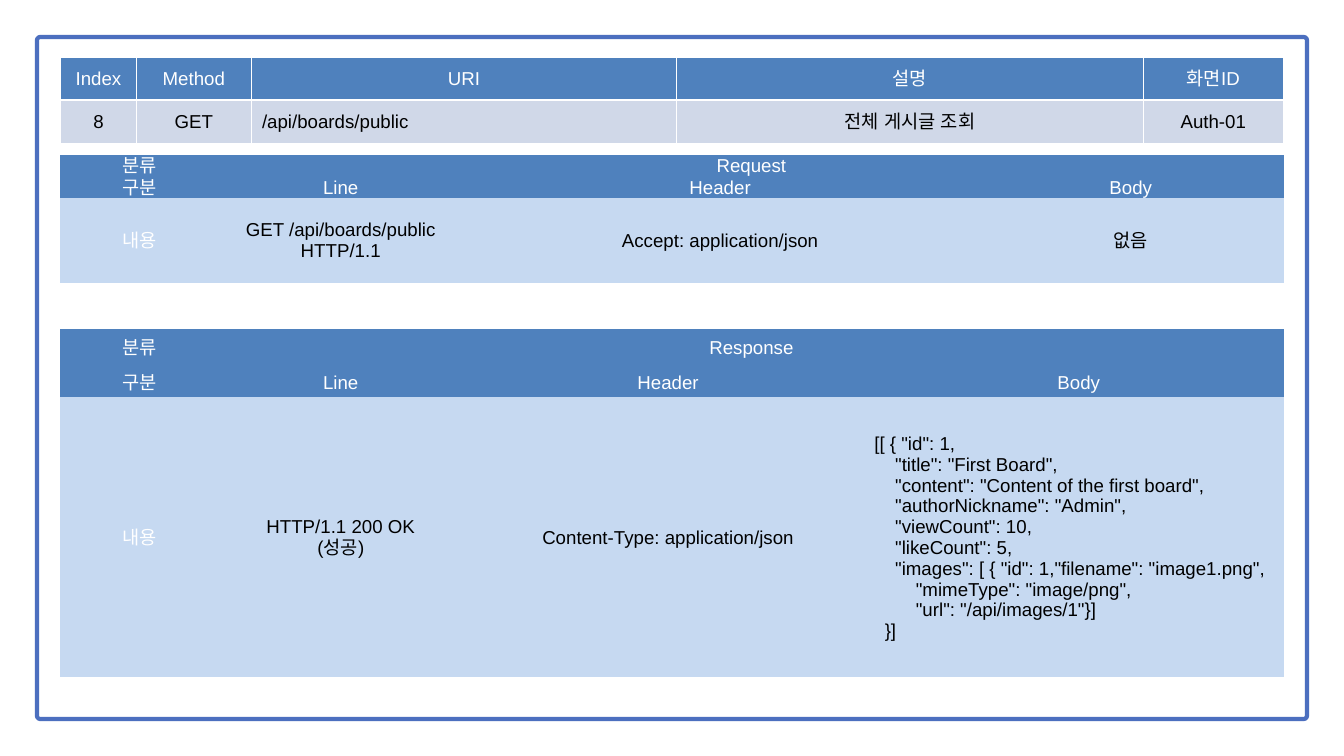
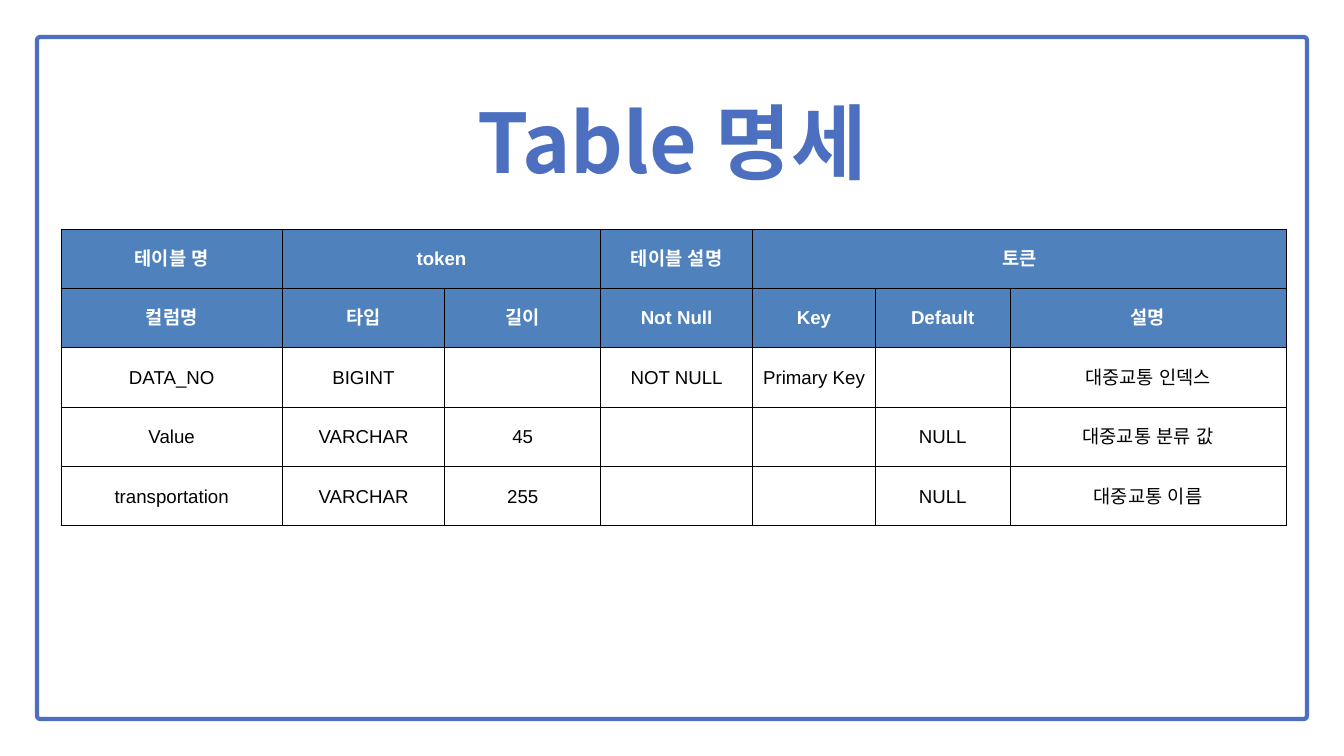
from lxml import etree
from pptx import Presentation
from pptx.dml.color import RGBColor
from pptx.enum import shapes, text
from pptx.oxml import ns
from pptx.util import Pt

BLUE, HEAD, PALE, GREY = "4C6FBF", "4F81BD", "C6D9F1", "D0D8E8"
WHITE, BLACK = "FFFFFF", "000000"
SANS, KOREAN = "Arial", "Noto Sans CJK KR"
NO_STYLE = "{2D5ABB26-0587-4C30-8999-92F81FD0307C}"
LEFT, CENTER = text.PP_ALIGN.LEFT, text.PP_ALIGN.CENTER
TIGHT = (0.72, 0.72, 0.72, 0)
ROOMY = (11.52, 5.76, 11.52, 5.76)

JSON = """[[ { "id": 1,
    "title": "First Board",
    "content": "Content of the first board",
    "authorNickname": "Admin",
    "viewCount": 10,
    "likeCount": 5,
    "images": [ { "id": 1,"filename": "image1.png",
        "mimeType": "image/png",
        "url": "/api/images/1"}]
  }]"""


def rgb(code):
    return RGBColor.from_string(code)


def add(parent, tag, **attrs):
    return etree.SubElement(parent, ns.qn(tag), attrs)


def write(frame, words, size=20, font=SANS, color=BLACK, bold=False,
          align=CENTER, space=None):
    """Fill a text frame, one paragraph for each line of words."""
    for num, line in enumerate(words.split("\n")):
        para = frame.add_paragraph() if num else frame.paragraphs[0]
        para.alignment = align
        if space:
            para.line_spacing = space
        run = para.add_run()
        run.text = line
        run.font.size, run.font.bold, run.font.name = Pt(size), bold, font
        run.font.color.rgb = rgb(color)
        add(run._r.get_or_add_rPr(), "a:ea", typeface=font)


def rule(cell, color, low=1):
    """Draw 1 pt borders; low is the width of the bottom one."""
    props = cell._tc.get_or_add_tcPr()
    for side, wide in zip("LRTB", (1, 1, 1, low)):
        line = add(props, f"a:ln{side}", w=str(Pt(wide)))
        add(add(line, "a:solidFill"), "a:srgbClr", val=color)


class Deck:
    def __init__(self):
        self.show = Presentation()
        self.show.slide_width, self.show.slide_height = Pt(1440), Pt(810)

    def page(self):
        """Start a slide with the rounded blue frame."""
        self.slide = self.show.slides.add_slide(self.show.slide_layouts[6])
        box = self.slide.shapes.add_shape(
            shapes.MSO_SHAPE.ROUNDED_RECTANGLE,
            Pt(39.6), Pt(39.6), Pt(1360.8), Pt(730.8))
        box.adjustments[0] = 3.6 / 730.8
        box.shadow.inherit = False
        box.fill.solid()
        box.fill.fore_color.rgb = rgb(WHITE)
        box.line.color.rgb = rgb(BLUE)
        box.line.width = Pt(4.5)

    def title(self, words):
        box = self.slide.shapes.add_textbox(Pt(43.2), Pt(79.2), Pt(1354), Pt(126))
        frame = box.text_frame
        frame.word_wrap = True
        frame.auto_size = text.MSO_AUTO_SIZE.SHAPE_TO_FIT_TEXT
        frame.margin_left = frame.margin_right = 0
        frame.margin_top = frame.margin_bottom = 0
        write(frame, words, size=88, font=KOREAN, color=BLUE, bold=True, space=1.18)

    def table(self, top, cols, tall, rows, heads=2, fill=None, pad=TIGHT,
              edge=None, low=1, bold=False, left=64.8):
        """None joins a cell to the one before; a pair is words and format."""
        grid = self.slide.shapes.add_table(
            len(rows), len(cols), Pt(left), Pt(top),
            Pt(sum(cols)), Pt(sum(tall))).table
        grid.first_row = grid.horz_banding = False
        grid._tbl.tblPr.find(ns.qn("a:tableStyleId")).text = NO_STYLE
        for col, wide in zip(grid.columns, cols):
            col.width = Pt(wide)
        for row, high in zip(grid.rows, tall):
            row.height = Pt(high)
        for r, row in enumerate(rows):
            head = r < heads
            start = 0
            for c, item in enumerate(row):
                cell = grid.cell(r, c)
                if edge:
                    rule(cell, edge, low if head else 1)
                self.paint(cell, HEAD if head else fill)
                if item is None:
                    if c + 1 == len(row) or row[c + 1] is not None:
                        grid.cell(r, start).merge(cell)
                    continue
                start = c
                words, form = item if isinstance(item, tuple) else (item, {})
                self.fit(cell, pad)
                if words:
                    base = {"color": WHITE if head else BLACK, "bold": bold and head}
                    write(cell.text_frame, words, **{**base, **form})

    def paint(self, cell, fill):
        if fill:
            cell.fill.solid()
            cell.fill.fore_color.rgb = rgb(fill)
        else:
            cell.fill.background()

    def fit(self, cell, pad):
        cell.vertical_anchor = text.MSO_ANCHOR.MIDDLE
        (cell.margin_left, cell.margin_top,
         cell.margin_right, cell.margin_bottom) = map(Pt, pad)

    def message(self, top, cols, tall, name, *parts):
        """Table of one HTTP message: line, header and body."""
        self.table(top, cols, tall, [
            ["분류", name, None, None],
            ["구분", "Line", "Header", "Body"],
            [("내용", {"color": WHITE}), *parts],
        ], fill=PALE)


def main():
    deck = Deck()

    deck.page()
    deck.message(166.3, (170, 260.6, 552.4, 327.6), (18, 16.6, 90.7), "Request",
                 "GET /api/boards/public HTTP/1.1", "Accept: application/json", "없음")
    deck.message(352.1, (170, 260.6, 440.8, 439.2), (41.8, 31.7, 300.2), "Response",
                 "HTTP/1.1 200 OK\n(성공)", "Content-Type: application/json",
                 (JSON, {"align": LEFT}))
    deck.table(61.2, (81.4, 123.1, 455.8, 499.7, 150.5), (46.1, 46.1), [
        ["Index", "Method", "URI", "설명", "화면ID"],
        ["8", "GET", ("/api/boards/public", {"align": LEFT}),
         "전체 게시글 조회", "Auth-01"],
    ], heads=1, fill=GREY, pad=ROOMY, edge=WHITE, low=3)

    deck.page()
    deck.title("Table 명세")
    deck.table(245.5, (236.9, 174.2, 167, 162.7, 131.8, 144, 295.9), [63.6] * 5, [
        ["테이블 명", "token", None, "테이블 설명", "토큰", None, None],
        ["컬럼명", "타입", "길이", "Not Null", "Key", "Default", "설명"],
        ["DATA_NO", "BIGINT", "", "NOT NULL", "Primary Key", "", "대중교통 인덱스"],
        ["Value", "VARCHAR", "45", "", "", "NULL", "대중교통 분류 값"],
        ["transportation", "VARCHAR", "255", "", "", "NULL", "대중교통 이름"],
    ], edge=BLACK, bold=True, left=65.5)

    deck.show.save("out.pptx")


if __name__ == "__main__":
    main()
